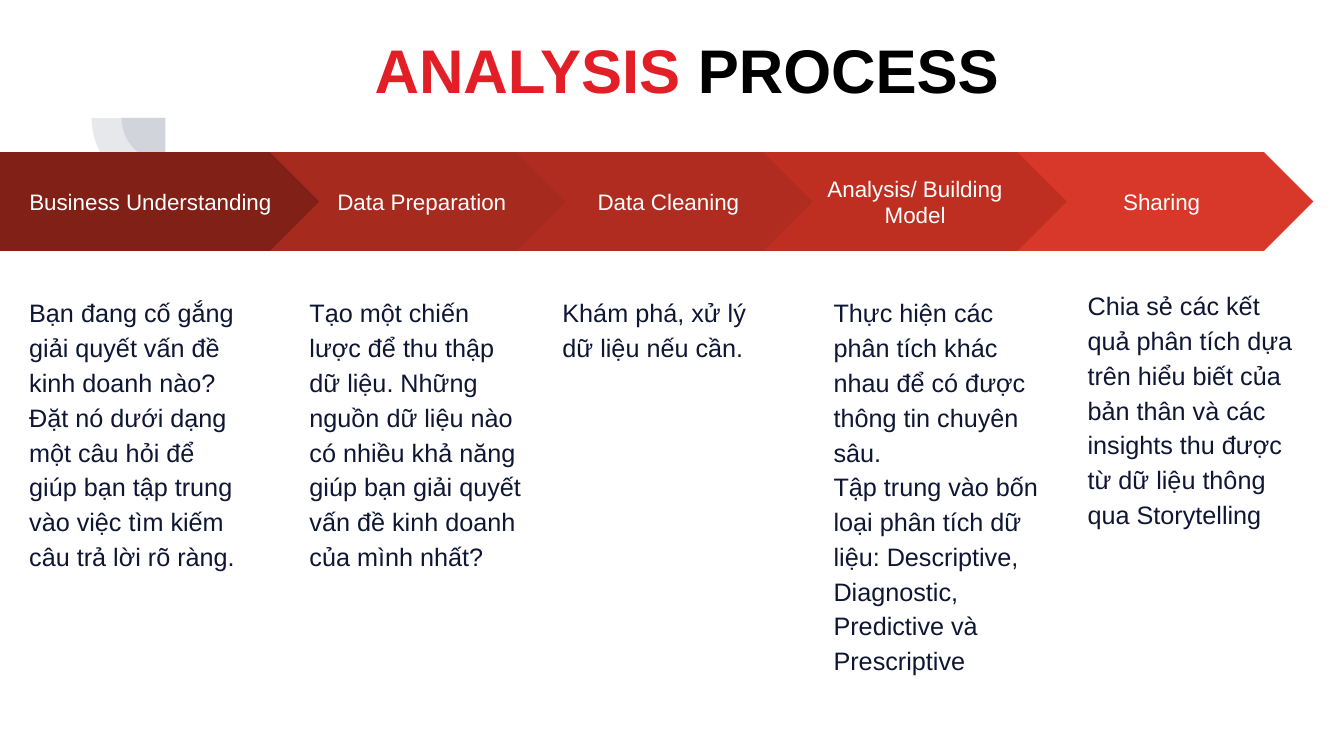
from dataclasses import dataclass

from lxml.etree import SubElement
from pptx import Presentation
from pptx.dml.color import RGBColor
from pptx.enum.shapes import MSO_SHAPE as Preset
from pptx.enum.text import MSO_ANCHOR as Anchor, MSO_AUTO_SIZE as AutoSize, PP_ALIGN as Align
from pptx.oxml.ns import qn
from pptx.shapes.autoshape import Shape
from pptx.slide import Slide
from pptx.text.text import TextFrame, _Paragraph as Paragraph
from pptx.util import Emu, Inches, Pt

SLIDE_WIDTH = Inches(13.33)
SLIDE_HEIGHT = Inches(7.5)
COLUMN = SLIDE_WIDTH / 160
ROW = SLIDE_HEIGHT / 90


@dataclass(frozen=True)
class Theme:
    font: str = "Arial"
    title_size: int = 44
    step_size: int = 16
    body_size: int = 18
    accent: str = "E21F26"
    title: str = "000000"
    step_text: str = "FFFFFF"
    body: str = "0E1633"
    ornament: str = "44546A"
    ornament_opacity: int = 13
    title_spacing: float = 0.9
    body_spacing: float = 1.15


@dataclass(frozen=True)
class Box:
    column: float
    row: float
    columns: float
    rows: float

    def place(self) -> tuple[Emu, Emu, Emu, Emu]:
        return (Emu(round(self.column * COLUMN)), Emu(round(self.row * ROW)),
                Emu(round(self.columns * COLUMN)), Emu(round(self.rows * ROW)))


@dataclass(frozen=True)
class Step:
    position: int
    name: str
    fill: str
    body_column: float
    paragraphs: tuple[str, ...]
    body_row: float = 33.36
    body_rows: float = 41.16


THEME = Theme()
TITLE_BOX = Box(20.28, 3.6, 123, 10.32)
TITLE_RUNS = (("ANALYSIS", THEME.accent), (" PROCESS", THEME.title))
ORNAMENT_COLUMN, ORNAMENT_ROW = 19.68, 14.04
ORNAMENT_RADII = (5.22, 8.76)
STEP_ROW, STEP_ROWS = 18.12, 11.76
FIRST_STEP_COLUMNS = 38.76
CHEVRON_COLUMN, CHEVRON_COLUMNS, CHEVRON_PITCH = 32.16, 36.12, 29.36
BODY_COLUMNS = 28.44
STEP_INSET = 1.56

STEPS = (
    Step(0, "Business Understanding", "802017", 1.92,
         ("Bạn đang cố gắng giải quyết vấn đề kinh doanh nào? Đặt nó dưới dạng một câu hỏi "
          "để giúp bạn tập trung vào việc tìm kiếm câu trả lời rõ ràng.",)),
    Step(1, "Data Preparation", "A72A1E", 35.28,
         ("Tạo một chiến lược để thu thập dữ liệu. Những nguồn dữ liệu nào có nhiều khả năng "
          "giúp bạn giải quyết vấn đề kinh doanh của mình nhất?",)),
    Step(2, "Data Cleaning", "B02C20", 65.4, ("Khám phá, xử lý dữ liệu nếu cần.",)),
    Step(4, "Sharing", "D83829", 127.92,
         ("Chia sẻ các kết quả phân tích dựa trên hiểu biết của bản thân và các insights "
          "thu được từ dữ liệu thông qua Storytelling",), body_row=32.52),
    Step(3, "Analysis/ Building Model", "BE2F22", 97.68,
         ("Thực hiện các phân tích khác nhau để có được thông tin chuyên sâu.",
          "Tập trung vào bốn loại phân tích dữ liệu: Descriptive, Diagnostic, "
          "Predictive và Prescriptive"), body_rows=48.48),
)


def add_run(paragraph: Paragraph, text: str, size: int, color: str, bold: bool = False) -> None:
    run = paragraph.add_run()
    run.text = text
    run.font.name = THEME.font
    run.font.size = Pt(size)
    run.font.bold = bold
    run.font.color.rgb = RGBColor.from_string(color)


def format_frame(frame: TextFrame, anchor: Anchor) -> None:
    frame.word_wrap = True
    frame.auto_size = AutoSize.NONE
    frame.vertical_anchor = anchor
    frame.margin_left = frame.margin_right = Emu(round(STEP_INSET * COLUMN))
    frame.margin_top = frame.margin_bottom = Emu(round(STEP_INSET * ROW))


def add_filled_shape(slide: Slide, preset: Preset, box: Box, color: str) -> Shape:
    shape = slide.shapes.add_shape(preset, *box.place())
    shape.shadow.inherit = False
    shape.fill.solid()
    shape.fill.fore_color.rgb = RGBColor.from_string(color)
    shape.line.fill.background()
    return shape


def add_ornament(slide: Slide, radius: float) -> None:
    box = Box(ORNAMENT_COLUMN - radius, ORNAMENT_ROW - radius, 2 * radius, 2 * radius)
    shape = add_filled_shape(slide, Preset.PIE, box, THEME.ornament)
    shape.rotation = 270
    shape.adjustments[0] = 108
    shape.adjustments[1] = 162
    color = shape.fill._xPr.find(qn("a:solidFill"))[0]
    SubElement(color, qn("a:alpha"), val=str(THEME.ornament_opacity * 1000))


def format_title(slide: Slide) -> None:
    title = slide.shapes.title
    title.left, title.top, title.width, title.height = TITLE_BOX.place()
    frame = title.text_frame
    frame.word_wrap = True
    frame.auto_size = AutoSize.NONE
    frame.vertical_anchor = Anchor.MIDDLE
    paragraph = frame.paragraphs[0]
    paragraph.alignment = Align.CENTER
    paragraph.line_spacing = THEME.title_spacing
    for text, color in TITLE_RUNS:
        add_run(paragraph, text, THEME.title_size, color, bold=True)


def add_step(slide: Slide, step: Step) -> None:
    if step.position == 0:
        preset = Preset.PENTAGON
        box = Box(0, STEP_ROW, FIRST_STEP_COLUMNS, STEP_ROWS)
    else:
        preset = Preset.CHEVRON
        column = CHEVRON_COLUMN + CHEVRON_PITCH * (step.position - 1)
        box = Box(column, STEP_ROW, CHEVRON_COLUMNS, STEP_ROWS)
    arrow = add_filled_shape(slide, preset, box, step.fill)
    format_frame(arrow.text_frame, Anchor.MIDDLE)
    heading = arrow.text_frame.paragraphs[0]
    heading.alignment = Align.CENTER
    add_run(heading, step.name, THEME.step_size, THEME.step_text)

    body_box = Box(step.body_column, step.body_row, BODY_COLUMNS, step.body_rows)
    frame = slide.shapes.add_textbox(*body_box.place()).text_frame
    format_frame(frame, Anchor.TOP)
    for index, text in enumerate(step.paragraphs):
        paragraph = frame.add_paragraph() if index else frame.paragraphs[0]
        paragraph.alignment = Align.LEFT
        paragraph.line_spacing = THEME.body_spacing
        add_run(paragraph, text, THEME.body_size, THEME.body)


def main() -> None:
    presentation = Presentation()
    presentation.slide_width = SLIDE_WIDTH
    presentation.slide_height = SLIDE_HEIGHT
    slide = presentation.slides.add_slide(presentation.slide_layouts[5])
    for radius in ORNAMENT_RADII:
        add_ornament(slide, radius)
    format_title(slide)
    for step in STEPS:
        add_step(slide, step)
    presentation.save("out.pptx")


if __name__ == "__main__":
    main()
